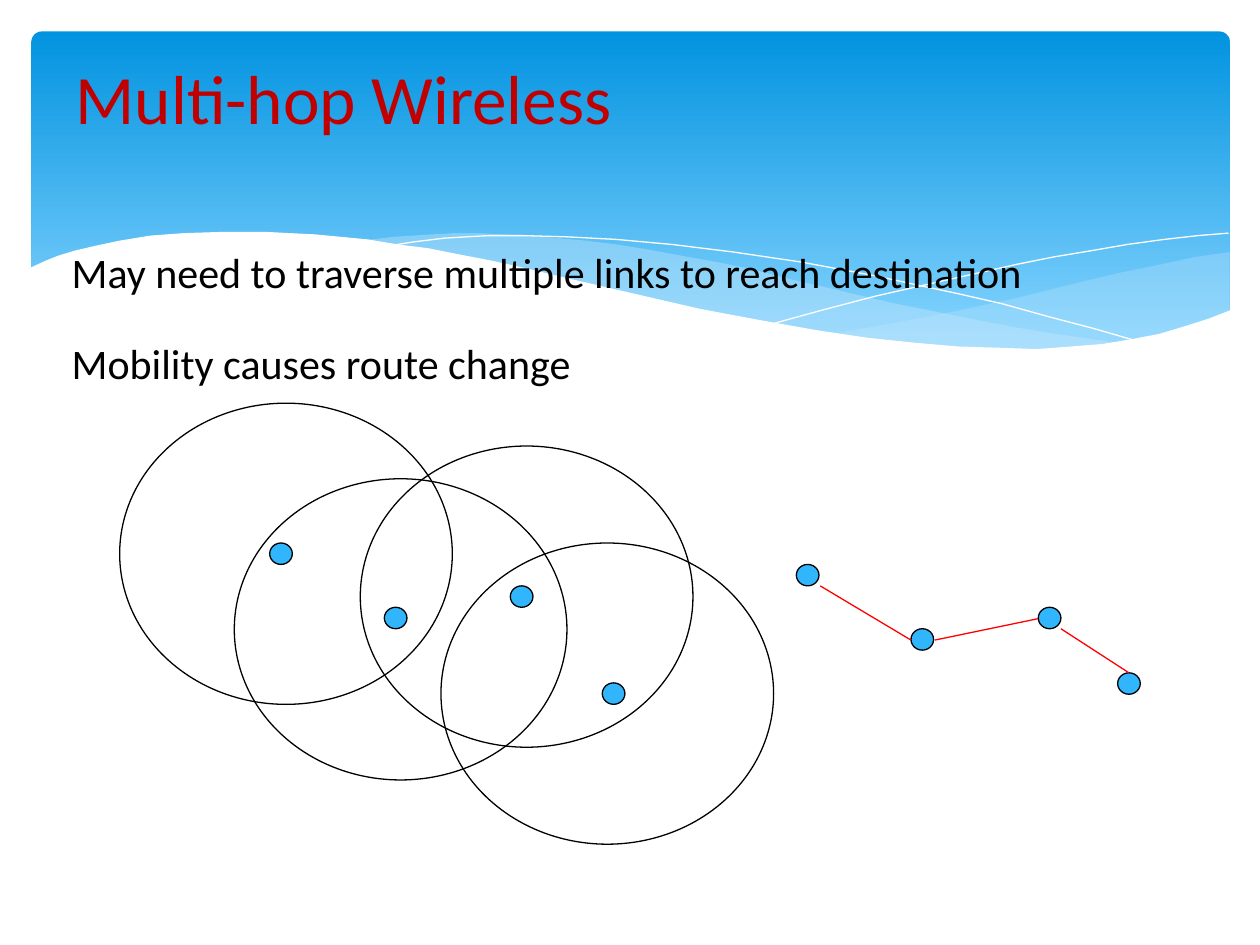
from pptx import Presentation
from pptx.dml.color import RGBColor
from pptx.enum.shapes import MSO_CONNECTOR, MSO_SHAPE
from pptx.enum.text import MSO_ANCHOR, PP_ALIGN
from pptx.oxml.ns import qn
from pptx.util import Pt
from lxml.etree import SubElement

PX = 9144  # 100 px to the inch
HEX = {"sky": "0293E0", "light": "83D3FE", "mist": "C6E7FC", "white": "FFFFFF",
       "black": "000000", "title": "C00000", "node": "31B6FD", "link": "FF0000"}
C = {name: RGBColor.from_string(value) for name, value in HEX.items()}

prs = Presentation()
prs.slide_width, prs.slide_height = 1000 * PX, 750 * PX
s = prs.slides.add_slide(prs.slide_layouts[5])


def wave(points, fill=None, opacity=100):
    """Draw a closed filled wave, or an open white hairline when fill is None."""
    builder = s.shapes.build_freeform(*points[0], scale=PX)
    builder.add_line_segments(points[1:], close=fill is not None)
    sp = builder.convert_to_shape()
    sp.shadow.inherit = False
    if fill is None:
        sp.fill.background()
        sp.line.color.rgb = C["white"]
        sp.line.width = Pt(0)
        return
    sp.line.fill.background()
    sp.fill.solid()
    sp.fill.fore_color.rgb = C[fill]
    if opacity < 100:
        color = sp.element.spPr.find(qn("a:solidFill"))[0]
        SubElement(color, qn("a:alpha")).set("val", str(opacity * 1000))


def ellipse(x, y, w, h, fill=None):
    sp = s.shapes.add_shape(MSO_SHAPE.OVAL, x * PX, y * PX, w * PX, h * PX)
    sp.shadow.inherit = False
    sp.line.color.rgb = C["black"]
    sp.line.width = Pt(0.75)
    if fill:
        sp.fill.solid()
        sp.fill.fore_color.rgb = C[fill]
    else:
        sp.fill.background()


# Banner
sp = s.shapes.add_shape(MSO_SHAPE.ROUNDED_RECTANGLE, 25 * PX, 25 * PX, 951 * PX, 270 * PX)
sp.adjustments[0] = 0.03
sp.shadow.inherit = False
sp.line.fill.background()
sp.fill.gradient()
sp.fill.gradient_angle = 270
for stop, position, name in zip(sp.fill.gradient_stops, (0, 0.9), ("sky", "light")):
    stop.position = position
    stop.color.rgb = C[name]

# Waves over the lower edge of the banner
wave([(976, 200), (948, 204), (921, 210), (891, 216), (861, 223), (805, 237),
      (753, 248), (706, 257), (661, 265), (691, 269), (719, 272), (745, 275),
      (769, 277), (803, 278), (835, 277), (863, 275), (889, 272), (913, 267),
      (935, 262), (949, 257), (963, 252), (976, 247)], "mist", 29)
wave([(893, 273), (866, 269), (837, 265), (807, 260), (775, 254), (741, 247),
      (706, 240), (668, 231), (629, 222), (598, 214), (569, 208), (541, 203),
      (514, 198), (489, 194), (465, 191), (442, 189), (420, 187), (399, 186),
      (380, 185), (361, 185), (344, 186), (313, 188), (286, 191), (323, 196),
      (362, 203), (404, 211), (449, 222), (491, 232), (530, 240), (566, 248),
      (601, 255), (634, 261), (665, 266), (695, 270), (722, 274), (748, 276),
      (773, 277), (807, 278), (838, 278), (867, 276)], "mist", 40)
wave([(309, 195), (328, 192), (353, 189), (387, 187), (416, 187), (450, 188),
      (489, 190), (533, 194), (582, 200), (636, 208), (695, 219), (727, 226),
      (760, 233), (795, 241), (831, 251), (869, 261), (907, 272)])
wave([(613, 257), (653, 246), (695, 235), (748, 223), (806, 210), (836, 204),
      (866, 199), (895, 194), (924, 190), (951, 187), (975, 185)])
wave([(977, 246), (959, 253), (940, 259), (920, 265), (899, 269), (875, 273),
      (850, 275), (823, 277), (793, 276), (761, 275), (726, 272), (688, 268),
      (648, 262), (603, 254), (555, 245), (503, 233), (447, 220), (418, 213),
      (391, 207), (365, 202), (340, 197), (316, 194), (292, 190), (271, 188),
      (250, 186), (230, 185), (211, 184), (177, 184), (146, 185), (119, 187),
      (95, 191), (76, 195), (59, 199), (46, 203), (36, 207), (23, 213),
      (23, 329), (977, 329)], "white")

# Title, raised above the banner
title = s.shapes.title
s.shapes.element.append(title.element)
title.left, title.top, title.width, title.height = 50 * PX, 37 * PX, 900 * PX, 80 * PX
tf = title.text_frame
tf.vertical_anchor = MSO_ANCHOR.MIDDLE
p = tf.paragraphs[0]
p.alignment = PP_ALIGN.LEFT
r = p.add_run()
r.text = "Multi-hop Wireless"
r.font.name, r.font.size = "Calibri", Pt(39.6)
r.font.color.rgb = C["title"]

# Radio ranges
for i, (x, y) in enumerate([(95, 320), (186, 380), (286, 354), (350, 431)]):
    ellipse(x, y, 264, 239, "white" if i == 0 else None)

# Nodes: inside the ranges, then along the route
for x, y in [(214, 431), (305, 482), (405, 465), (478, 542),
             (632, 448), (723, 499), (824, 482), (887, 534)]:
    ellipse(x, y, 18, 17, "node")

# Route links
for ends in [(651, 465, 723, 508), (742, 508, 824, 491), (842, 499, 896, 534)]:
    link = s.shapes.add_connector(MSO_CONNECTOR.STRAIGHT, *(v * PX for v in ends))
    link.line.color.rgb = C["link"]
    link.line.width = Pt(0.75)
    SubElement(link.element.spPr, qn("a:effectLst"))

# Statements
tf = s.shapes.add_textbox(47 * PX, 195 * PX, 891 * PX, 119 * PX).text_frame
tf.word_wrap = True
for i, text in enumerate(["May need to traverse multiple links to reach destination",
                          "Mobility causes route change"]):
    p = tf.add_paragraph() if i else tf.paragraphs[0]
    p.line_spacing = 0.9
    if i:
        p.space_before = Pt(26)
    r = p.add_run()
    r.text = text
    r.font.name, r.font.size = "Calibri", Pt(24)
    r.font.color.rgb = C["black"]

prs.save("out.pptx")
